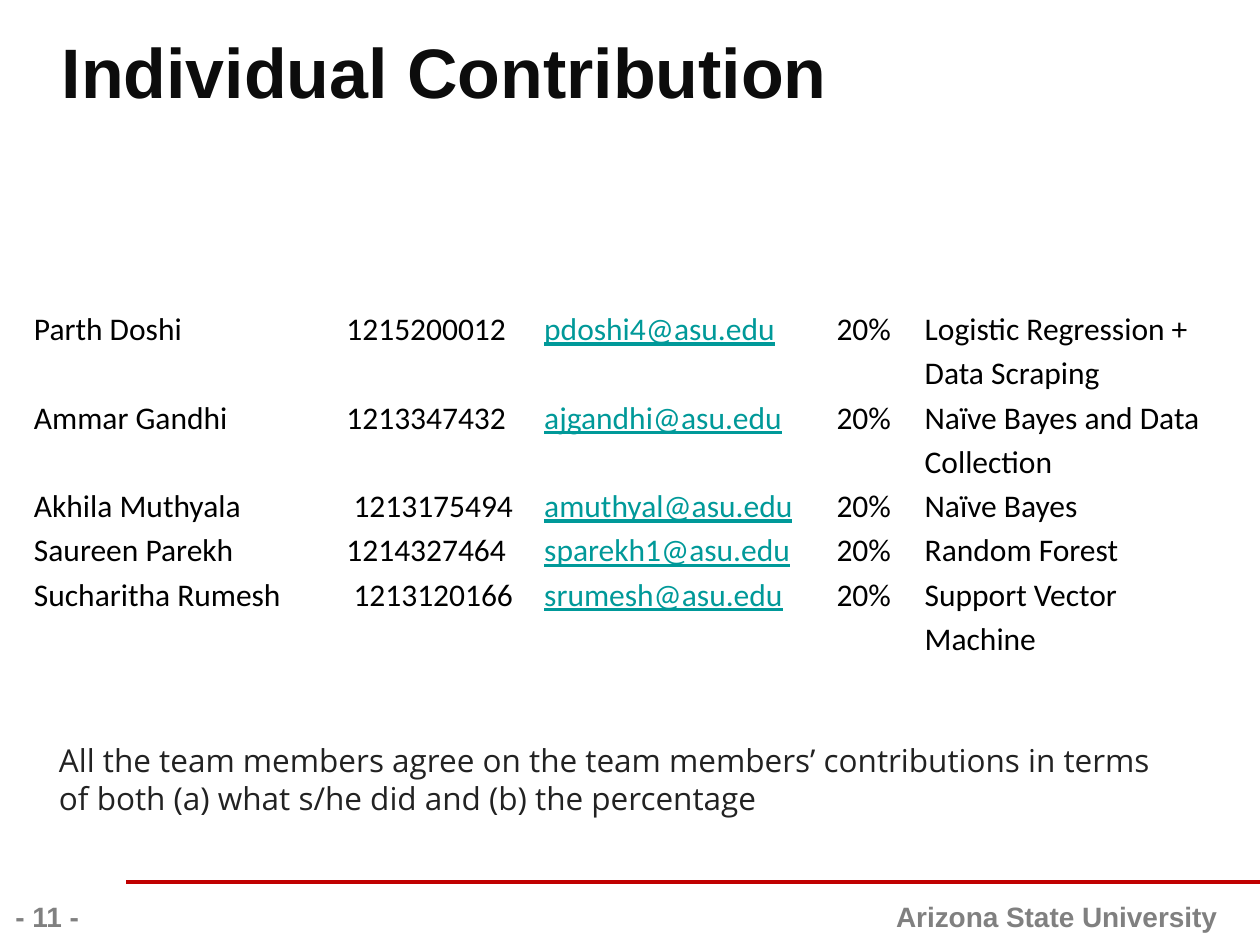
from lxml import etree
from pptx import Presentation
from pptx.dml.color import RGBColor
from pptx.enum.shapes import MSO_CONNECTOR
from pptx.enum.text import MSO_ANCHOR, PP_ALIGN
from pptx.oxml.ns import qn
from pptx.util import Inches, Pt

LEFT, CENTER, RIGHT = PP_ALIGN.LEFT, PP_ALIGN.CENTER, PP_ALIGN.RIGHT
MIDDLE = MSO_ANCHOR.MIDDLE
STRAIGHT = MSO_CONNECTOR.STRAIGHT

COLORS = {
    "title": "0C0C0C",
    "footer": "808080",
    "rule": "C00000",
    "cell": "000000",
    "email": "009999",
    "statement": "222222",
    "shadow": "000000",
}

TITLE = "Individual Contribution"
MEMBERS = [
    ("Parth Doshi", "1215200012", "pdoshi4@asu.edu", "20%", "Logistic Regression + Data Scraping"),
    ("Ammar Gandhi", "1213347432", "ajgandhi@asu.edu", "20%", "Naïve Bayes and Data Collection"),
    ("Akhila Muthyala", " 1213175494", "amuthyal@asu.edu", "20%", "Naïve Bayes"),
    ("Saureen Parekh", "1214327464", "sparekh1@asu.edu", "20%", "Random Forest"),
    ("Sucharitha Rumesh", " 1213120166", "srumesh@asu.edu", "20%", "Support Vector Machine"),
]
COLUMN_WIDTHS = [2.48, 1.57, 2.32, 0.7, 2.52]
EMAIL_COLUMN = 2
ROW_HEIGHT = 0.25
STATEMENT = (
    "All the team members agree on the team members’ contributions in terms "
    "of both (a) what s/he did and (b) the percentage"
)
TEXT_BOXES = [
    ("Arizona State University", (4.92, 7.09, 4.84, 0.41), 16, "Arial", "footer", True, RIGHT),
    ("- 11 -", (0, 7.09, 0.75, 0.41), 16, "Arial", "footer", True, CENTER),
    (STATEMENT, (0.37, 5.83, 8.96, 0.71), 18, "Open Sans", "statement", False, LEFT),
]


def format_paragraph(paragraph, size, font_name, color, bold=False, alignment=LEFT):
    paragraph.alignment = alignment
    font = paragraph.font
    font.size = Pt(size)
    font.name = font_name
    font.bold = bold
    font.color.rgb = RGBColor.from_string(COLORS[color])


def add_text_shadow(run):
    properties = run._r.get_or_add_rPr()
    effects = etree.SubElement(properties, qn("a:effectLst"))
    shadow = etree.SubElement(
        effects, qn("a:outerShdw"), blurRad="38100", dist="38100", dir="2700000", algn="tl"
    )
    color = etree.SubElement(shadow, qn("a:srgbClr"), val=COLORS["shadow"])
    etree.SubElement(color, qn("a:alpha"), val="43000")


def add_title(slide):
    title = slide.shapes.title
    title.left, title.top, title.width, title.height = map(Inches, (0.49, 0.12, 9, 0.88))
    frame = title.text_frame
    frame.margin_left = frame.margin_right = frame.margin_top = frame.margin_bottom = 0
    frame.vertical_anchor = MIDDLE
    frame.text = TITLE
    paragraph = frame.paragraphs[0]
    format_paragraph(paragraph, 40, "Arial", "title", True)
    add_text_shadow(paragraph.runs[0])


def add_text(slide, text, box, *style):
    frame = slide.shapes.add_textbox(*map(Inches, box)).text_frame
    frame.word_wrap = True
    frame.text = text
    format_paragraph(frame.paragraphs[0], *style)


def add_footer_rule(slide):
    rule = slide.shapes.add_connector(STRAIGHT, Inches(1), Inches(7), Inches(10), Inches(7))
    rule.line.color.rgb = RGBColor.from_string(COLORS["rule"])
    rule.line.width = Pt(2)
    etree.SubElement(rule._element.spPr, qn("a:effectLst"))


def add_member_table(slide):
    table = slide.shapes.add_table(
        len(MEMBERS), len(COLUMN_WIDTHS), Inches(0.2), Inches(2.42),
        Inches(sum(COLUMN_WIDTHS)), Inches(ROW_HEIGHT * len(MEMBERS)),
    ).table
    table.first_row = table.horz_banding = False
    for column, width in zip(table.columns, COLUMN_WIDTHS):
        column.width = Inches(width)
    for row_index, member in enumerate(MEMBERS):
        for column_index, text in enumerate(member):
            cell = table.cell(row_index, column_index)
            cell.fill.background()
            cell.margin_left = cell.margin_right = Inches(0.07)
            cell.margin_top = cell.margin_bottom = 0
            cell.text = text
            paragraph = cell.text_frame.paragraphs[0]
            paragraph.line_spacing = 1.15
            is_email = column_index == EMAIL_COLUMN
            format_paragraph(paragraph, 18, "Calibri", "email" if is_email else "cell")
            paragraph.font.underline = is_email


def main():
    presentation = Presentation()
    presentation.slide_width, presentation.slide_height = Inches(10), Inches(7.5)
    slide = presentation.slides.add_slide(presentation.slide_layouts.get_by_name("Title Only"))
    add_footer_rule(slide)
    add_title(slide)
    add_member_table(slide)
    for text_box in TEXT_BOXES:
        add_text(slide, *text_box)
    presentation.save("out.pptx")


if __name__ == "__main__":
    main()
